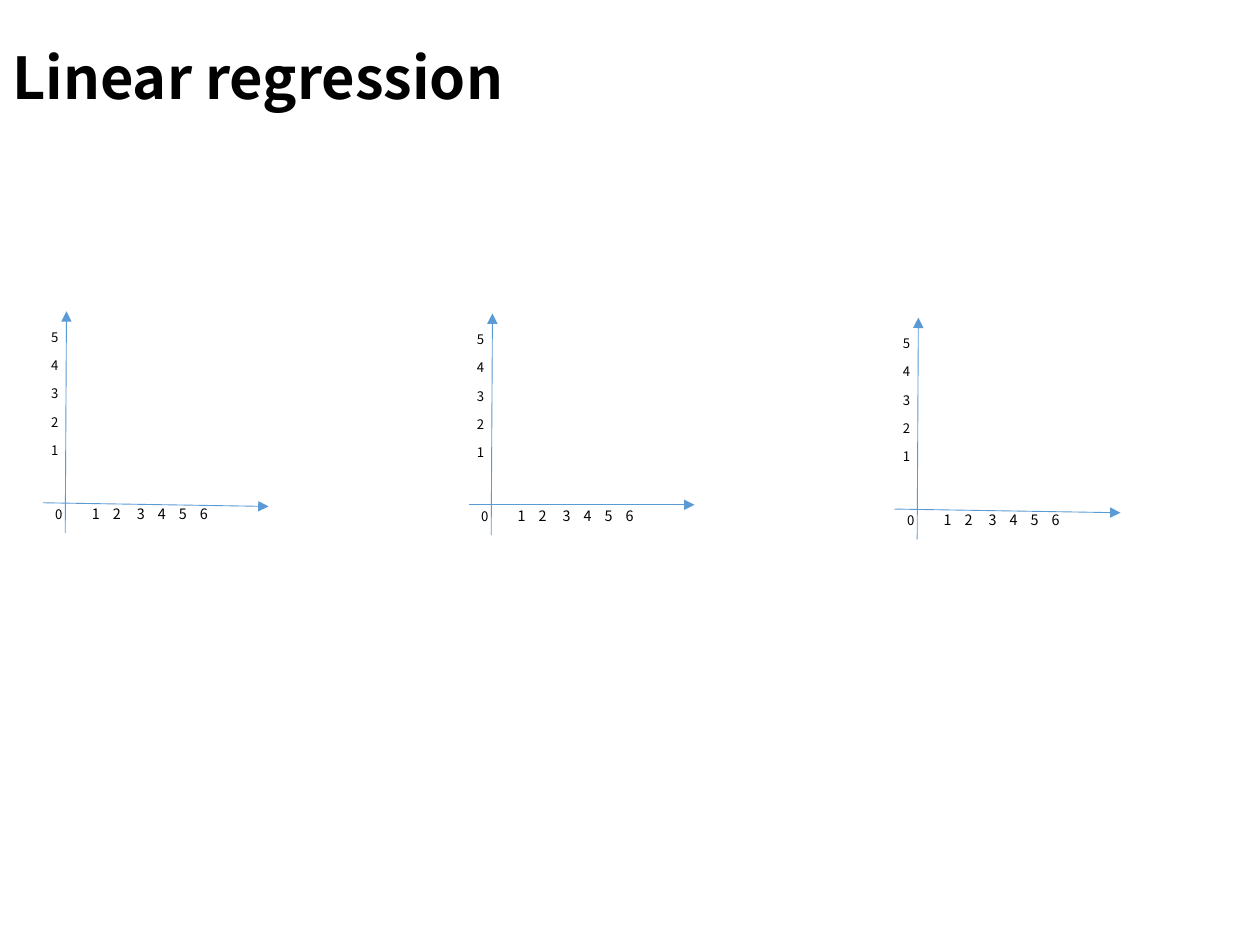
from lxml.etree import SubElement
from pptx import Presentation
from pptx.dml.color import RGBColor
from pptx.enum.shapes import MSO_CONNECTOR as Link
from pptx.enum.text import MSO_ANCHOR as Anchor
from pptx.oxml.ns import qn
from pptx.util import Pt

BLACK = RGBColor(0x00, 0x00, 0x00)
BLUE = RGBColor(0x5B, 0x9B, 0xD5)
FONT = "Noto Sans CJK KR"
STOPS = (12, 25.7, 37.7, 49.7, 61.7)
STEP = 243.4
PANELS = ((287.3, 2.1), (288.5, 0), (290.9, 2.1))


class Deck:
    def __init__(self, wide, high):
        self.file = Presentation()
        self.file.slide_width = Pt(wide)
        self.file.slide_height = Pt(high)
        self.slide = self.file.slides.add_slide(self.file.slide_layouts[6])

    def text(self, x, y, wide, high, lines, size, bold=False,
             gap=0, pitch=None, stops=(), anchor=Anchor.TOP):
        box = self.slide.shapes.add_textbox(Pt(x), Pt(y), Pt(wide), Pt(high))
        frame = box.text_frame
        frame.word_wrap = True
        frame.vertical_anchor = anchor
        frame.margin_left = frame.margin_right = Pt(7.2)
        frame.margin_top = frame.margin_bottom = Pt(2.8)
        frame.text = "\n".join(lines)
        for rank, para in enumerate(frame.paragraphs):
            if rank and gap:
                para.space_before = Pt(gap)
            if pitch:
                para.line_spacing = pitch
            if stops:
                self.tabs(para, stops)
            font = para.font
            font.name = FONT
            font.size = Pt(size)
            font.bold = bold
            font.color.rgb = BLACK

    def tabs(self, para, stops):
        tabs = SubElement(para._p.get_or_add_pPr(), qn("a:tabLst"))
        for stop in stops:
            SubElement(tabs, qn("a:tab"), pos=str(Pt(stop)), algn="l")

    def arrow(self, x1, y1, x2, y2):
        link = self.slide.shapes.add_connector(
            Link.STRAIGHT, Pt(x1), Pt(y1), Pt(x2), Pt(y2))
        link.line.color.rgb = BLUE
        link.line.width = Pt(0.5)
        SubElement(link.line._get_or_add_ln(), qn("a:tailEnd"), type="triangle")
        SubElement(link._element.spPr, qn("a:effectLst"))

    def axes(self, x, y, drop):
        self.arrow(x, y, x + 129, y + drop)
        self.arrow(x + 12.8, y + 17.3, x + 13.5, y - 109.4)
        self.text(x + 20.9, y - 1.4, 103, 17.3, ["\t".join("123456")], 8.2,
                  stops=STOPS)
        self.text(x, y - 0.7, 18.7, 16.6, ["0"], 7.5)
        self.text(x - 2.4, y - 102.1, 18.7, 88.7, list("54321"), 7.5, gap=7.2)


def main():
    deck = Deck(720, 540)
    deck.text(0, 15.8, 720, 61.2, ["Linear regression"], 33, bold=True,
              pitch=0.9, anchor=Anchor.MIDDLE)
    for rank, (y, drop) in enumerate(PANELS):
        deck.axes(24.5 + rank * STEP, y, drop)
    deck.file.save("out.pptx")


if __name__ == "__main__":
    main()
